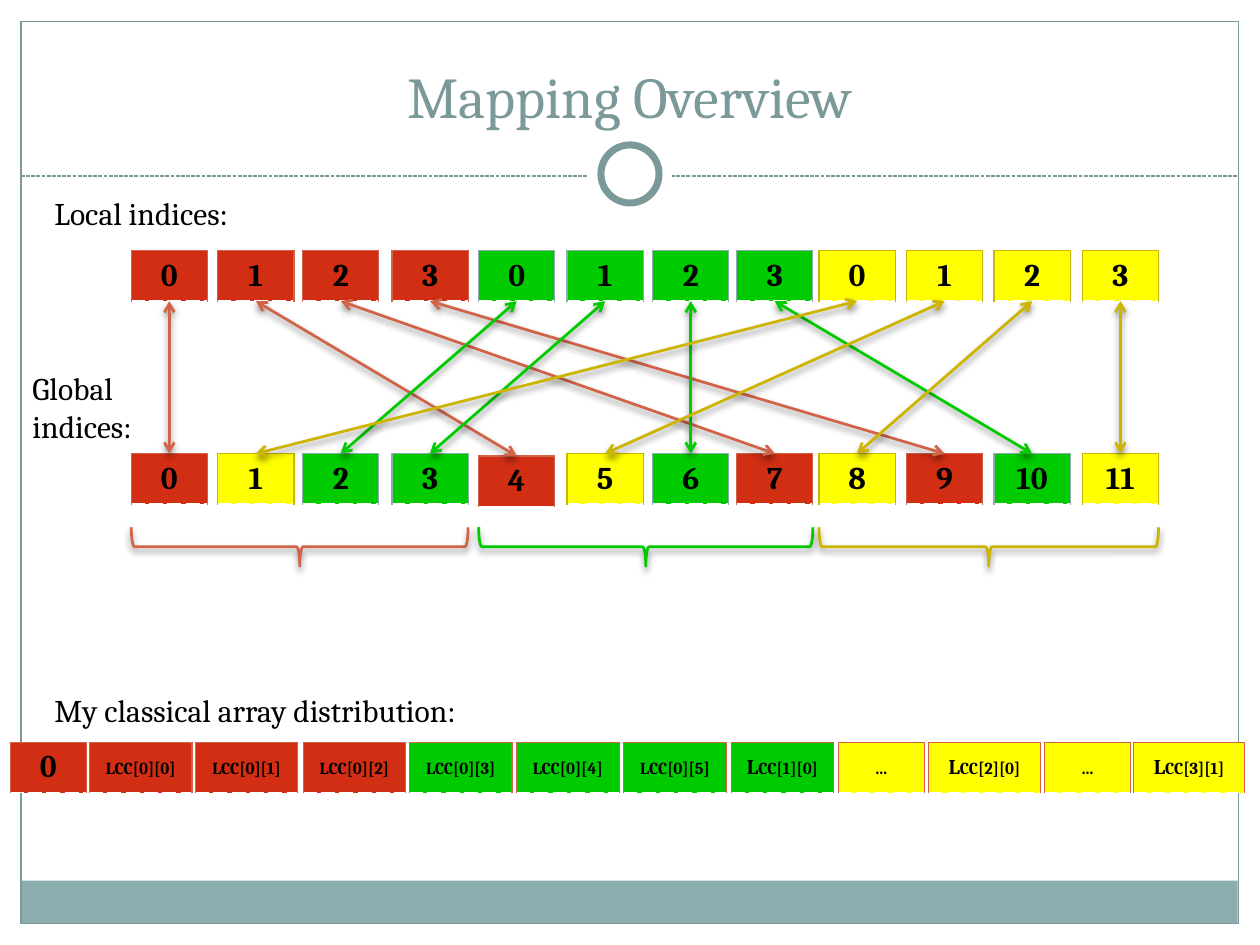
from dataclasses import dataclass

from lxml.etree import SubElement
from pptx import Presentation
from pptx.dml.color import RGBColor
from pptx.enum.dml import MSO_LINE_DASH_STYLE as Dash
from pptx.enum.shapes import MSO_CONNECTOR as Connector, MSO_SHAPE as Shape
from pptx.enum.text import MSO_ANCHOR as Anchor, PP_ALIGN as Align
from pptx.oxml.ns import qn
from pptx.util import Pt

FONT = "Cambria"
COLORS = {
    "white": "FFFFFF", "black": "000000", "teal": "8CADAE", "frame": "7C999A",
    "red": "D12E14", "rust": "D16349", "green": "00CB00",
    "yellow": "FFFF00", "gold": "CCB400",
}

# Index grid, in points
COLUMNS = [75, 124.5, 173, 224, 273.5, 324, 373, 421, 468, 518, 568, 618.5]
CELL_WIDTH, CELL_HEIGHT = 43.5, 28.8
LOCAL_TOP, GLOBAL_TOP, ARRAY_TOP = 143.3, 259.2, 424.1
LOWERED_CELL, LOWERED_BY = 4, 1.4
BRACE_TOP, BRACE_DEPTH = 301.3, 22.3
GROUP_SIZE = 4
# Global index of each local slot, in column order
GLOBAL_OF_LOCAL = [0, 4, 7, 9, 2, 3, 6, 10, 1, 5, 8, 11]


@dataclass(frozen=True)
class Group:
    fill: str
    border: str
    line: str


@dataclass(frozen=True)
class Cell:
    text: str
    left: float
    top: float
    fill: str
    border: str
    width: float = CELL_WIDTH
    small_caps: bool = False


@dataclass(frozen=True)
class Label:
    text: str
    left: float
    top: float
    width: float
    height: float
    size: float = 18
    color: str = "black"
    align: Align = Align.LEFT
    anchor: Anchor = Anchor.TOP


GROUPS = [
    Group("red", "rust", "rust"),
    Group("green", "teal", "green"),
    Group("yellow", "gold", "gold"),
]
LABELS = [
    Label("Mapping Overview", 24, 18, 672, 60, 33, "frame", Align.CENTER, Anchor.BOTTOM),
    Label("Local indices:", 24, 107.5, 180, 29),
    Label("Global indices:", 11.5, 207.5, 79.2, 51),
    Label("My classical array distribution:", 24, 391.2, 284.4, 29),
]
ARRAY_CELLS = [
    Cell("0", 5.8, ARRAY_TOP, "red", "rust"),
    *(Cell(text, left, ARRAY_TOP, fill, "rust", width, True)
      for text, left, width, fill in [
          ("lcc[0][0]", 51.1, 58.6, "red"), ("lcc[0][1]", 111.6, 58.6, "red"),
          ("lcc[0][2]", 173.2, 58.6, "red"), ("lcc[0][3]", 234, 58.6, "green"),
          ("lcc[0][4]", 295.2, 58.6, "green"), ("lcc[0][5]", 356.4, 58.6, "green"),
          ("Lcc[1][0]", 417.8, 58.6, "green"), ("…", 479, 49.2, "yellow"),
          ("Lcc[2][0]", 530.8, 63.6, "yellow"), ("…", 596.9, 49.2, "yellow"),
          ("Lcc[3][1]", 647.7, 63.6, "yellow")]),
]


def rgb(name: str) -> RGBColor:
    return RGBColor.from_string(COLORS[name])


def style_font(paragraph, size: float, color: str, bold: bool = False) -> None:
    for run in paragraph.runs:
        run.font.name, run.font.size, run.font.bold = FONT, Pt(size), bold
        run.font.color.rgb = rgb(color)


def add_solid_fill(parent, color: str):
    fill = SubElement(parent, qn("a:solidFill"))
    return SubElement(fill, qn("a:srgbClr"), val=COLORS[color])


def add_shadow(shape) -> None:
    effects = SubElement(shape._element.spPr, qn("a:effectLst"))
    shadow = SubElement(effects, qn("a:outerShdw"), blurRad=str(Pt(4)), dist=str(Pt(2)),
                        dir="5400000", rotWithShape="0")
    color = SubElement(shadow, qn("a:srgbClr"), val=COLORS["black"])
    SubElement(color, qn("a:alpha"), val="45000")


def add_plain_shape(slide, kind: Shape, left: float, top: float, width: float, height: float,
                    fill: str = "", line: str = "", weight: float = 0.75) -> None:
    shape = slide.shapes.add_shape(kind, Pt(left), Pt(top), Pt(width), Pt(height))
    shape.shadow.inherit = False
    if fill:
        shape.fill.solid()
        shape.fill.fore_color.rgb = rgb(fill)
    else:
        shape.fill.background()
    if line:
        shape.line.color.rgb, shape.line.width = rgb(line), Pt(weight)
    else:
        shape.line.fill.background()


def add_label(slide, label: Label) -> None:
    box = slide.shapes.add_textbox(Pt(label.left), Pt(label.top), Pt(label.width), Pt(label.height))
    text_frame = box.text_frame
    text_frame.word_wrap = True
    text_frame.vertical_anchor = label.anchor
    text_frame.text = label.text
    paragraph = text_frame.paragraphs[0]
    paragraph.alignment = label.align
    style_font(paragraph, label.size, label.color)


def add_cell(slide, item: Cell) -> None:
    table = slide.shapes.add_table(1, 1, Pt(item.left), Pt(item.top),
                                   Pt(item.width), Pt(CELL_HEIGHT)).table
    table.first_row = table.horz_banding = False
    cell = table.cell(0, 0)
    cell.vertical_anchor = Anchor.MIDDLE
    if item.small_caps:
        cell.margin_left = cell.margin_right = Pt(0)
    cell.text_frame.text = item.text
    paragraph = cell.text_frame.paragraphs[0]
    paragraph.alignment = Align.CENTER
    style_font(paragraph, 12 if item.small_caps else 18, "black", True)
    if item.small_caps:
        paragraph.runs[0].font._element.set("cap", "small")
    # Borders come before the fill in the cell properties
    properties = cell._tc.get_or_add_tcPr()
    for side in ("L", "R", "T", "B"):
        is_bottom = side == "B"
        border = SubElement(properties, qn(f"a:ln{side}"), w=str(Pt(0.9 if is_bottom else 0.75)))
        add_solid_fill(border, "white" if is_bottom else item.border)
        SubElement(border, qn("a:prstDash"), val="sysDash" if is_bottom else "solid")
    add_solid_fill(properties, item.fill)


def add_brace(slide, left: float, right: float, color: str) -> None:
    span = right - left
    center_x, center_y = (left + right) / 2, BRACE_TOP + BRACE_DEPTH / 2
    brace = slide.shapes.add_shape(Shape.RIGHT_BRACE, Pt(center_x - BRACE_DEPTH / 2),
                                   Pt(center_y - span / 2), Pt(BRACE_DEPTH), Pt(span))
    brace.rotation = 90
    brace.fill.background()
    brace.line.color.rgb, brace.line.width = rgb(color), Pt(1.57)
    add_shadow(brace)


def add_arrow(slide, start_x: float, end_x: float, end_y: float, color: str) -> None:
    arrow = slide.shapes.add_connector(Connector.STRAIGHT, Pt(start_x),
                                       Pt(LOCAL_TOP + CELL_HEIGHT), Pt(end_x), Pt(end_y))
    arrow.line.color.rgb, arrow.line.width = rgb(color), Pt(1.57)
    for end in ("a:headEnd", "a:tailEnd"):
        SubElement(arrow.line._get_or_add_ln(), qn(end), type="arrow")
    add_shadow(arrow)


def add_frame(slide) -> None:
    add_plain_shape(slide, Shape.RECTANGLE, 11.8, 503.2, 695.5, 24.5, fill="teal")
    add_plain_shape(slide, Shape.RECTANGLE, 12, 12.2, 695.8, 515.5, line="frame")
    rule = slide.shapes.add_connector(Connector.STRAIGHT, Pt(12), Pt(100.6), Pt(707.8), Pt(100.6))
    rule.line.color.rgb, rule.line.width = rgb("frame"), Pt(0.75)
    rule.line.dash_style = Dash.SQUARE_DOT
    SubElement(rule._element.spPr, qn("a:effectLst"))
    add_plain_shape(slide, Shape.OVAL, 336, 75.4, 48, 48, fill="white")
    add_plain_shape(slide, Shape.OVAL, 343.4, 82.8, 33.2, 33.2, "white", "frame", 4)


def main() -> None:
    presentation = Presentation()
    presentation.slide_width, presentation.slide_height = Pt(720), Pt(540)
    slide = presentation.slides.add_slide(presentation.slide_layouts[6])
    add_frame(slide)

    # Local and global index rows
    global_tops = [GLOBAL_TOP + LOWERED_BY * (index == LOWERED_CELL)
                   for index in range(len(COLUMNS))]
    for slot, target in enumerate(GLOBAL_OF_LOCAL):
        group = GROUPS[slot // GROUP_SIZE]
        add_cell(slide, Cell(str(slot % GROUP_SIZE), COLUMNS[slot], LOCAL_TOP,
                             group.fill, group.border))
        add_cell(slide, Cell(str(target), COLUMNS[target], global_tops[target],
                             group.fill, group.border))

    # Braces under each group of columns
    for number, group in enumerate(GROUPS):
        first = number * GROUP_SIZE
        add_brace(slide, COLUMNS[first], COLUMNS[first + GROUP_SIZE - 1] + CELL_WIDTH, group.line)

    # Array distribution row
    for item in ARRAY_CELLS:
        add_cell(slide, item)

    # Arrows from local to global indices
    for slot, target in enumerate(GLOBAL_OF_LOCAL):
        add_arrow(slide, COLUMNS[slot] + CELL_WIDTH / 2, COLUMNS[target] + CELL_WIDTH / 2,
                  global_tops[target], GROUPS[slot // GROUP_SIZE].line)

    for label in LABELS:
        add_label(slide, label)
    presentation.save("out.pptx")


if __name__ == "__main__":
    main()
